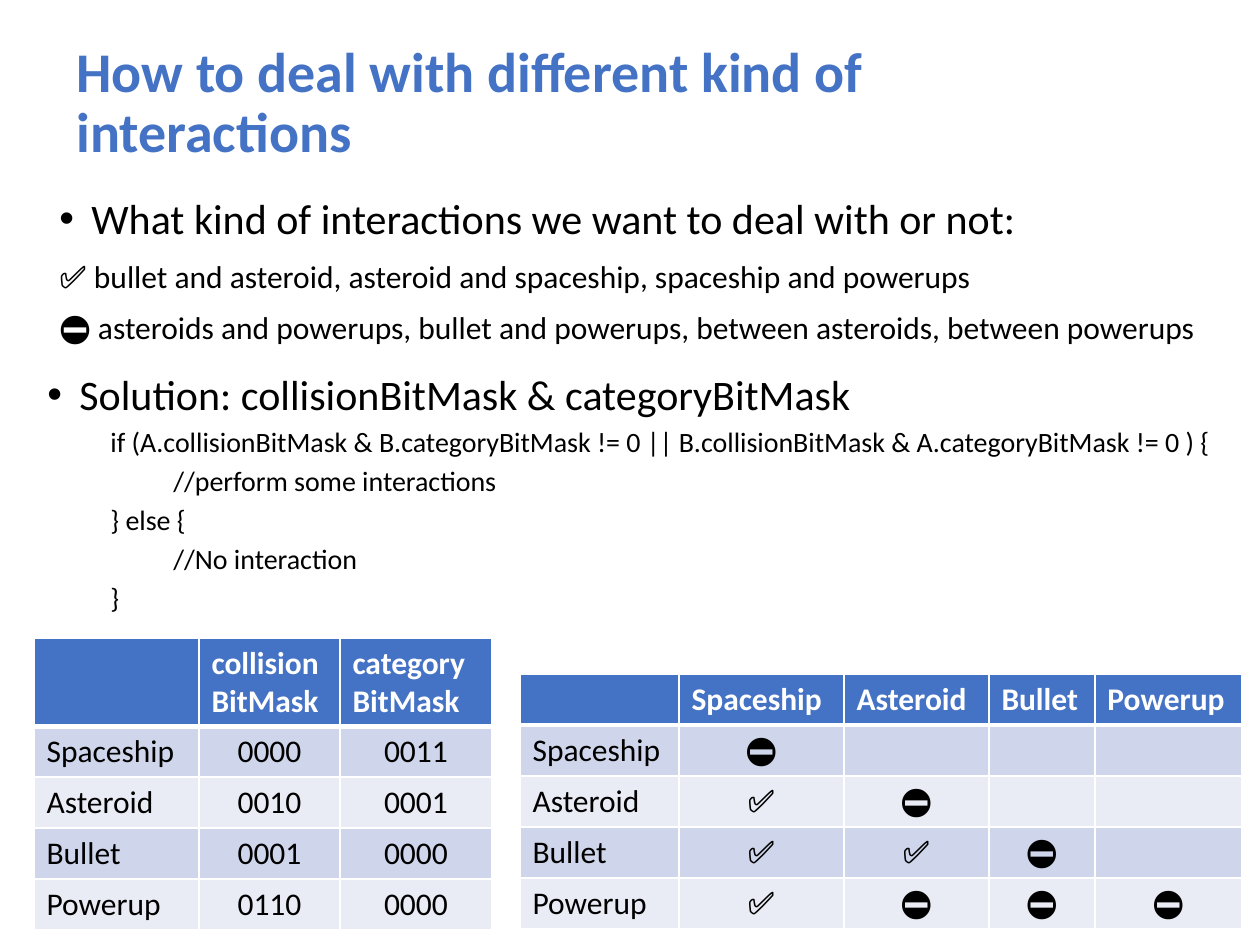
from lxml import etree
from pptx import Presentation
from pptx.dml.color import RGBColor
from pptx.enum.text import MSO_ANCHOR, PP_ALIGN
from pptx.oxml.ns import qn
from pptx.util import Emu, Pt

MID, TOP = MSO_ANCHOR.MIDDLE, MSO_ANCHOR.TOP
LEFT, CENTER = PP_ALIGN.LEFT, PP_ALIGN.CENTER
SCALE = 914400 // 126
FONT = "Calibri"
COLORS = {"blue": "4472C4", "black": "000000", "white": "FFFFFF",
          "odd": "CFD5EA", "even": "E9EBF5"}
YES, NO = "\u2705", "\u26d4\ufe0f"
ROW = 51


def px(n):
    return Emu(n * SCALE)


def rgb(name):
    return RGBColor.from_string(COLORS[name])


def add_run(para, text, size, color="black", bold=False):
    run = para.add_run()
    run.text = text
    font = run.font
    font.name, font.size, font.bold = FONT, Pt(size), bold
    font.color.rgb = rgb(color)


def add_box(slide, box, anchor=TOP):
    frame = slide.shapes.add_textbox(*map(px, box)).text_frame
    frame.word_wrap = True
    frame.vertical_anchor = anchor
    return frame


def add_para(frame, first, text, size, before=10, indent=0, bullet=False,
             **style):
    para = frame.paragraphs[0] if first else frame.add_paragraph()
    para.line_spacing = 0.9
    para.space_before = Pt(before)
    props = para._p.get_or_add_pPr()
    props.set("marL", str(px(indent)))
    props.set("indent", str(-px(indent) if bullet else 0))
    if bullet:
        etree.SubElement(props, qn("a:buFont")).set("typeface", "Arial")
        etree.SubElement(props, qn("a:buChar")).set("char", "\u2022")
    add_run(para, text, size, **style)


def add_list(slide, box, head, lines, size, **rule):
    frame = add_box(slide, box)
    add_para(frame, True, head, 24, indent=32, bullet=True)
    for line in lines:
        add_para(frame, False, line, size, **rule)


def set_edges(cell, row):
    props = cell._tc.get_or_add_tcPr()
    for side in "LRTB":
        # Thick rule between the header and the first row
        thick = (row, side) in ((0, "B"), (1, "T"))
        line = etree.SubElement(props, qn("a:ln" + side))
        line.set("w", str(Pt(3 if thick else 1)))
        fill = etree.SubElement(line, qn("a:solidFill"))
        etree.SubElement(fill, qn("a:srgbClr")).set("val", COLORS["white"])


def add_grid(slide, left, top, widths, head, rows):
    data = [rows_head(head)] + rows
    shape = slide.shapes.add_table(len(data), len(widths), px(left), px(top),
                                   px(sum(widths)), px(ROW * len(data)))
    grid = shape.table
    for col, width in zip(grid.columns, widths):
        col.width = px(width)
    for r, texts in enumerate(data):
        grid.rows[r].height = px(ROW)
        fill = "blue" if r == 0 else "odd" if r % 2 else "even"
        for c in range(len(widths)):
            cell = grid.cell(r, c)
            set_edges(cell, r)
            cell.fill.solid()
            cell.fill.fore_color.rgb = rgb(fill)
            para = cell.text_frame.paragraphs[0]
            para.alignment = CENTER if r and c else LEFT
            para.font.size = Pt(18)
            if c < len(texts) and texts[c]:
                add_run(para, texts[c], 18, "black" if r else "white", r == 0)
    return grid


def rows_head(names):
    return [""] + names


def main():
    deck = Presentation()
    deck.slide_width, deck.slide_height = px(1260), px(945)
    slide = deck.slides.add_slide(deck.slide_layouts[6])

    # Title
    title = add_box(slide, (64, 13, 1086, 183), MID)
    add_para(title, True, "How to deal with different kind of interactions",
             32, before=0, color="blue", bold=True)

    # Question and solution
    add_list(slide, (47, 192, 1179, 183),
             "What kind of interactions we want to deal with or not:",
             [YES + " bullet and asteroid, asteroid and spaceship, "
              "spaceship and powerups",
              NO + " asteroids and powerups, bullet and powerups, "
              "between asteroids, between powerups"], 18)
    add_list(slide, (35, 368, 1194, 297),
             "Solution: collisionBitMask & categoryBitMask",
             ["if (A.collisionBitMask & B.categoryBitMask != 0 || "
              "B.collisionBitMask & A.categoryBitMask != 0 ) {",
              "\t//perform some interactions", "} else {",
              "\t//No interaction", "}"], 16, before=5, indent=63)

    # Bit masks
    names = ["Spaceship", "Asteroid", "Bullet", "Powerup"]
    masks = [("0000", "0011"), ("0010", "0001"),
             ("0001", "0000"), ("0110", "0000")]
    bits = add_grid(slide, 34, 638, [165, 141, 152],
                    ["collisionBitMask", "categoryBitMask"],
                    [[name, *pair] for name, pair in zip(names, masks)])
    bits.rows[0].height = px(88)

    # Which pairs interact
    marks = [[NO], [YES, NO], [YES, YES, NO], [YES, NO, NO, NO]]
    add_grid(slide, 520, 674, [159, 165, 145, 106, 147], names,
             [[name, *line] for name, line in zip(names, marks)])

    deck.save("out.pptx")


main()
